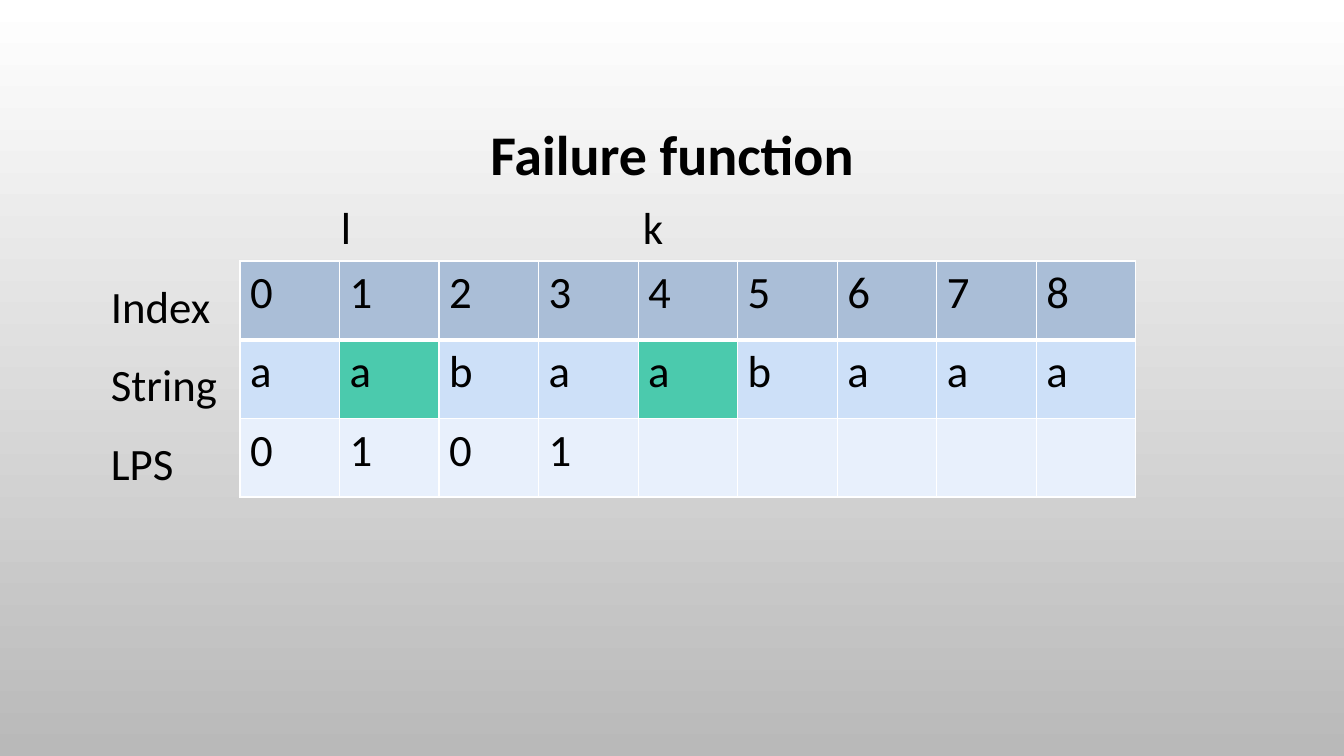
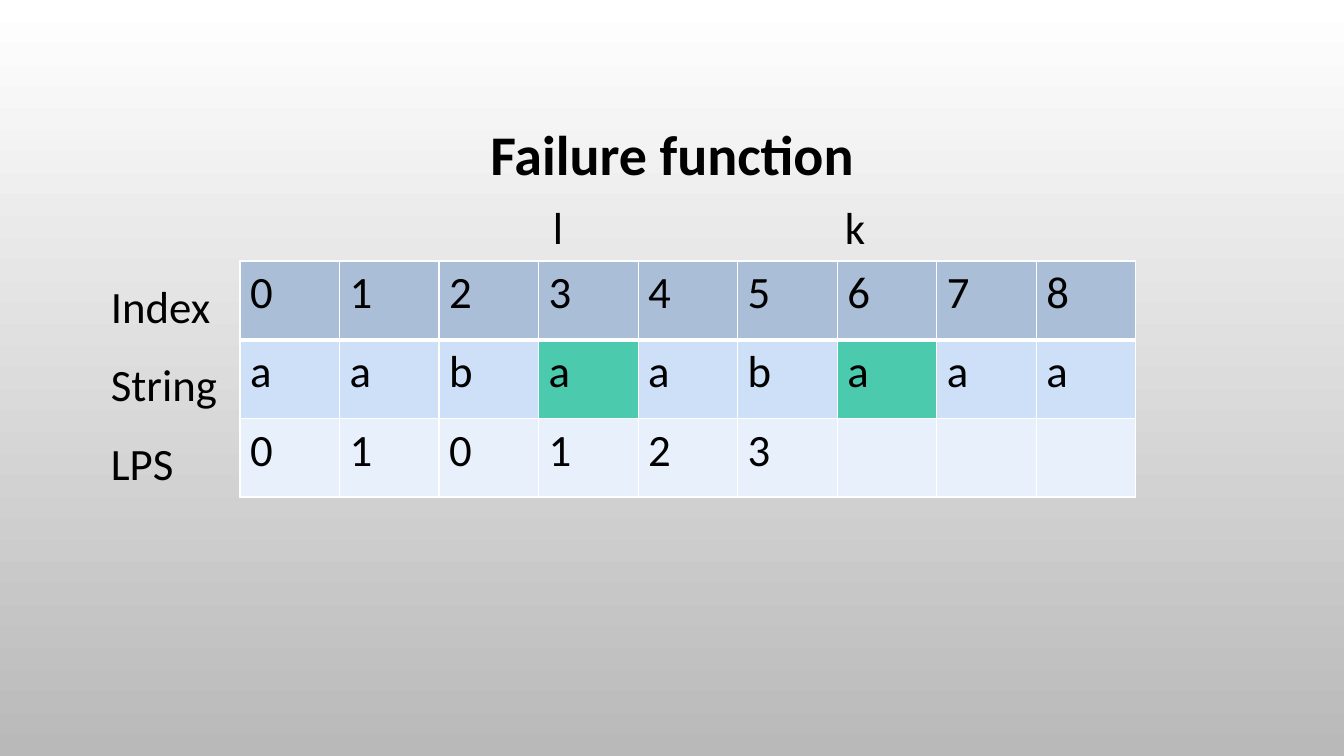
from lxml import etree
from pptx import Presentation
from pptx.dml.color import RGBColor
from pptx.enum.text import MSO_ANCHOR, PP_ALIGN
from pptx.oxml.ns import qn
from pptx.util import Pt

CENTER, LEFT = PP_ALIGN.CENTER, PP_ALIGN.LEFT
MIDDLE, TOP = MSO_ANCHOR.MIDDLE, MSO_ANCHOR.TOP

TITLE = "Failure function"
ROW_LABELS = ["Index", "String", "LPS"]
STRING = "aabaabaaa"
# Each marker: name, index it points at, tab stop in px from the text edge
STEPS = [
    {"markers": [("l", 1, 230), ("k", 4, 532)], "lps": "0101"},
    {"markers": [("l", 3, 442), ("k", 6, 734)], "lps": "010123"},
]

FONT = "Calibri"
COLORS = {
    "text": "000000",
    "sky": "FFFFFF",
    "ground": "B9B9B9",
    "border": "FFFFFF",
    "index": "AABED7",
    "string": "CDE0F8",
    "lps": "E8F0FC",
    "match": "4BCAAD",
}
ROW_FILLS = [COLORS["index"], COLORS["string"], COLORS["lps"]]

PX = 914400 / 100.8
SLIDE_SIZE = (1344, 756)
TITLE_BOX = (101, 69, 1142, 176)
BODY_BOX = (101, 184, 1142, 504)
TABLE_BOX = (240, 261, 896, 236)
TEXT_SIZE, TITLE_SIZE = 32, 40


def emu(*lengths):
    return [round(length * PX) for length in lengths]


def write(para, text, size=TEXT_SIZE, bold=False, align=LEFT,
          line_spacing=None, space_before=None, tabs=()):
    """Fill one paragraph; tabs are px from the left text edge."""
    if tabs:
        tab_list = etree.SubElement(para._p.get_or_add_pPr(), qn("a:tabLst"))
        for stop in emu(*tabs):
            etree.SubElement(tab_list, qn("a:tab"), pos=str(stop), algn="l")
    para.alignment = align
    if line_spacing:
        para.line_spacing = line_spacing
    if space_before:
        para.space_before = Pt(space_before)
    span = para.add_run()
    span.text = text
    span.font.name = FONT
    span.font.size = Pt(size)
    span.font.bold = bold
    span.font.color.rgb = RGBColor.from_string(COLORS["text"])


def add_frame(page, place, anchor=TOP):
    frame = page.shapes.add_textbox(*emu(*place)).text_frame
    frame.word_wrap = True
    frame.vertical_anchor = anchor
    return frame


def set_borders(cell, top, bottom):
    """Draw all four cell edges; side edges are 1 pt wide."""
    properties = cell._tc.get_or_add_tcPr()
    widths = {"a:lnL": 1, "a:lnR": 1, "a:lnT": top, "a:lnB": bottom}
    for position, (tag, width) in enumerate(widths.items()):
        line = etree.Element(qn(tag), w=str(Pt(width)))
        fill = etree.SubElement(line, qn("a:solidFill"))
        etree.SubElement(fill, qn("a:srgbClr"), val=COLORS["border"])
        properties.insert(position, line)


def add_title(page):
    frame = add_frame(page, TITLE_BOX, MIDDLE)
    write(frame.paragraphs[0], TITLE, size=TITLE_SIZE, bold=True,
          align=CENTER, line_spacing=0.9)


def add_labels(page, markers):
    """Write the marker line, then the row labels below it."""
    frame = add_frame(page, BODY_BOX)
    marker_line = "".join("\t" + name for name, _, _ in markers)
    write(frame.paragraphs[0], marker_line, line_spacing=1.2,
          tabs=[tab for _, _, tab in markers])
    for label in ROW_LABELS:
        write(frame.add_paragraph(), label, line_spacing=1.2, space_before=10)


def add_lps_table(page, lps, matches):
    count = len(STRING)
    rows = [[str(index) for index in range(count)], STRING, lps.ljust(count)]
    table = page.shapes.add_table(len(rows), count, *emu(*TABLE_BOX)).table
    table.first_row = table.horz_banding = False
    for row_index, values in enumerate(rows):
        for column, value in enumerate(values):
            cell = table.cell(row_index, column)
            matched = row_index == 1 and column in matches
            cell.fill.solid()
            cell.fill.fore_color.rgb = RGBColor.from_string(
                COLORS["match"] if matched else ROW_FILLS[row_index])
            set_borders(cell, top=3 if row_index == 1 else 1,
                        bottom=3 if row_index == 0 else 1)
            if value.strip():
                write(cell.text_frame.paragraphs[0], value)


def set_background(master):
    fill = master.background.fill
    fill.gradient()
    fill.gradient_angle = 270
    for stop, position, name in zip(fill.gradient_stops, (0, 1), ("sky", "ground")):
        stop.position = position
        stop.color.rgb = RGBColor.from_string(COLORS[name])


def main():
    deck = Presentation()
    deck.slide_width, deck.slide_height = emu(*SLIDE_SIZE)
    set_background(deck.slide_master)
    for step in STEPS:
        page = deck.slides.add_slide(deck.slide_layouts[6])
        add_title(page)
        add_labels(page, step["markers"])
        add_lps_table(page, step["lps"], {index for _, index, _ in step["markers"]})
    deck.save("out.pptx")


if __name__ == "__main__":
    main()
